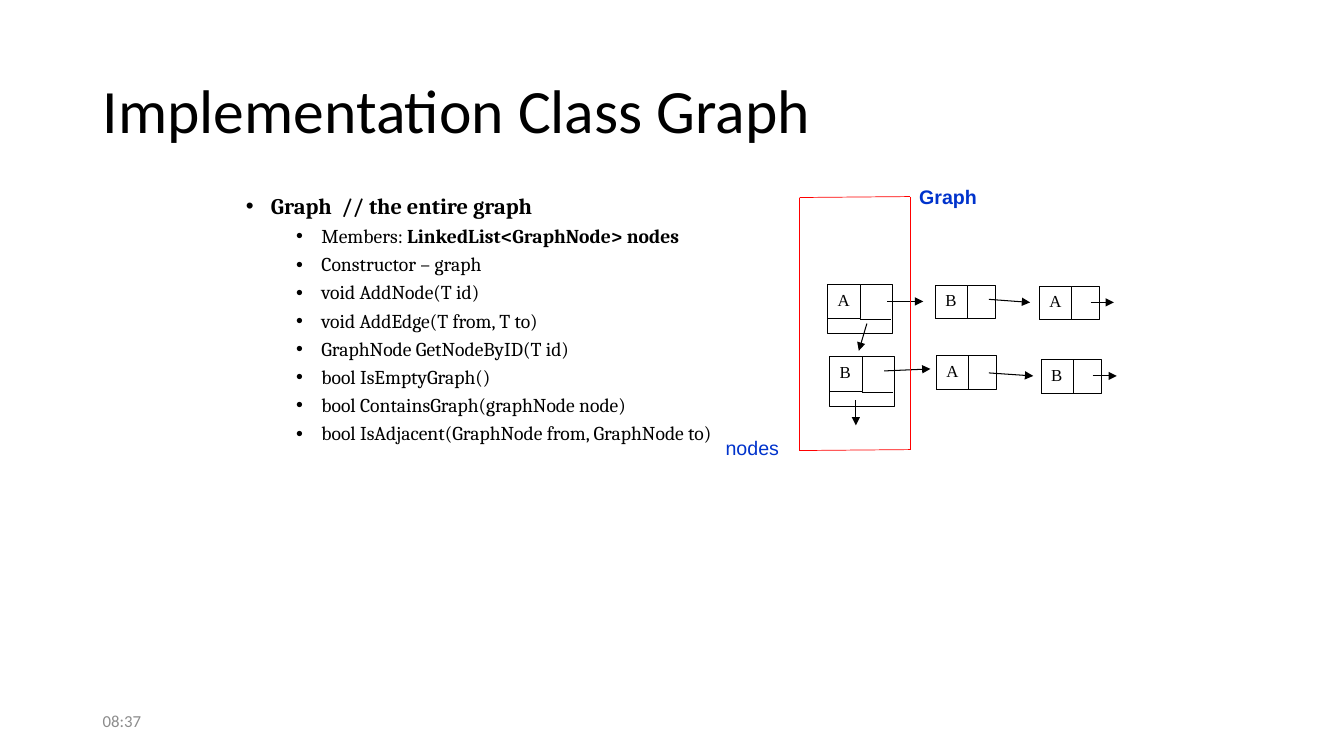
import lxml.etree
import pptx
import pptx.dml.color
import pptx.enum.shapes
import pptx.enum.text
import pptx.oxml.ns
import pptx.util

WIDTH = pptx.util.Inches(13.33)
HEIGHT = pptx.util.Inches(7.5)
BLACK = pptx.dml.color.RGBColor(0x00, 0x00, 0x00)
WHITE = pptx.dml.color.RGBColor(0xFF, 0xFF, 0xFF)
RED = pptx.dml.color.RGBColor(0xFF, 0x00, 0x00)
BLUE = pptx.dml.color.RGBColor(0x00, 0x33, 0xCC)
GRAY = pptx.dml.color.RGBColor(0x8C, 0x8C, 0x8C)

MEMBERS = [
    [("Members: ", False), ("LinkedList<GraphNode> nodes", True)],
    [("Constructor – graph", False)],
    [("void AddNode(T id)", False)],
    [("void AddEdge(T from, T to)", False)],
    [("GraphNode GetNodeByID(T id)", False)],
    [("bool IsEmptyGraph()", False)],
    [("bool ContainsGraph(graphNode node)", False)],
    [("bool IsAdjacent(GraphNode from, GraphNode to)", False)],
]
EDGE_CELLS = [
    ("B", 69.6, 37.73),
    ("A", 77.33, 37.87),
    ("A", 69.68, 47.07),
    ("B", 77.48, 47.6),
]
GRAPH_NODES = [("B", 61.73, 47.2), ("A", 61.58, 37.6)]
ARROWS = [
    ((66, 39.87), (68.7, 39.87)),
    ((73.58, 39.6), (76.65, 40)),
    ((81.15, 40), (82.88, 40)),
    ((65.78, 49.07), (69.23, 48.8)),
    ((73.58, 49.33), (76.88, 49.73)),
    ((81.3, 49.73), (83.1, 49.73)),
    ((64.5, 42.8), (63.9, 46.4)),
    ((63.68, 52.93), (63.68, 56.27)),
]
FRAME_CORNERS = [(59.5, 26.13), (67.7, 26), (67.7, 59.47), (59.5, 59.6)]


def across(percent):
    """Return a share of the slide's width."""
    return round(WIDTH * percent / 100)


def down(percent):
    """Return a share of the slide's height."""
    return round(HEIGHT * percent / 100)


def area(left, top, width, height):
    """Return a rectangle given in percent of the slide."""
    return across(left), down(top), across(width), down(height)


def set_font(paragraph, name, size, color, bold=None):
    """Format all the text of a paragraph."""
    font = paragraph.font
    font.name = name
    font.size = pptx.util.Pt(size)
    font.color.rgb = color
    font.bold = bold


def add_title(slide, text):
    """Place and format the title placeholder."""
    title = slide.shapes.title
    title.left, title.top, title.width, title.height = area(6.9, 5.33, 86.25, 19.33)
    title.text_frame.text = text
    title.text_frame.vertical_anchor = pptx.enum.text.MSO_ANCHOR.MIDDLE
    paragraph = title.text_frame.paragraphs[0]
    paragraph.alignment = pptx.enum.text.PP_ALIGN.LEFT
    paragraph.line_spacing = 0.9
    set_font(paragraph, "Calibri", 44, BLACK)


def add_label(slide, text, box, name, size, color, bold=None, wrap=False):
    """Add a single line of text, centred vertically."""
    frame = slide.shapes.add_textbox(*area(*box)).text_frame
    frame.word_wrap = wrap
    frame.vertical_anchor = pptx.enum.text.MSO_ANCHOR.MIDDLE
    frame.text = text
    set_font(frame.paragraphs[0], name, size, color, bold)


def format_bullet(paragraph, level, size):
    """Give a paragraph its bullet, indent, spacing and font."""
    paragraph.level = level
    paragraph.alignment = pptx.enum.text.PP_ALIGN.JUSTIFY
    paragraph.line_spacing = 0.9
    if level:
        paragraph.space_before = pptx.util.Pt(5)
    properties = paragraph._p.get_or_add_pPr()
    properties.set("marL", str(pptx.util.Inches(0.25 + 0.5 * level)))
    properties.set("indent", str(-pptx.util.Inches(0.25)))
    for tag, key, value in (("a:buFont", "typeface", "Arial"), ("a:buChar", "char", "•")):
        element = lxml.etree.SubElement(properties, pptx.oxml.ns.qn(tag))
        element.set(key, value)
    set_font(paragraph, "Cambria", size, BLACK)


def add_class_outline(slide):
    """Add the class name and the list of its members."""
    frame = slide.shapes.add_textbox(*area(17.55, 25.2, 67.5, 69.8)).text_frame
    frame.word_wrap = True
    heading = frame.paragraphs[0]
    heading.text = "Graph  // the entire graph"
    format_bullet(heading, 0, 16)
    heading.font.bold = True
    for member in MEMBERS:
        paragraph = frame.add_paragraph()
        format_bullet(paragraph, 1, 14)
        for text, bold in member:
            run = paragraph.add_run()
            run.text = text
            run.font.bold = bold


def add_cell(slide, box, text=""):
    """Add a white cell with a black outline."""
    cell = slide.shapes.add_shape(pptx.enum.shapes.MSO_SHAPE.RECTANGLE, *area(*box))
    cell.shadow.inherit = False
    cell.fill.solid()
    cell.fill.fore_color.rgb = WHITE
    cell.line.color.rgb = BLACK
    cell.line.width = pptx.util.Pt(0.75)
    if text:
        frame = cell.text_frame
        frame.margin_right = 0
        frame.vertical_anchor = pptx.enum.text.MSO_ANCHOR.TOP
        frame.text = text
        paragraph = frame.paragraphs[0]
        paragraph.alignment = pptx.enum.text.PP_ALIGN.LEFT
        set_font(paragraph, "Times New Roman", 12, BLACK)


def add_line(slide, start, end, color=BLACK, weight=0.75, arrow=False):
    """Add a straight line, with an arrowhead at its end if asked."""
    connector = slide.shapes.add_connector(
        pptx.enum.shapes.MSO_CONNECTOR.STRAIGHT,
        across(start[0]), down(start[1]), across(end[0]), down(end[1]),
    )
    connector.line.color.rgb = color
    connector.line.width = pptx.util.Pt(weight)
    properties = connector.element.spPr
    if arrow:
        outline = properties.find(pptx.oxml.ns.qn("a:ln"))
        head = lxml.etree.SubElement(outline, pptx.oxml.ns.qn("a:tailEnd"))
        head.set("type", "triangle")
    lxml.etree.SubElement(properties, pptx.oxml.ns.qn("a:effectLst"))


def add_edge_cell(slide, name, left, top):
    """Add a neighbour with its name and its link field."""
    add_cell(slide, (left, top, 4.5, 4.4))
    add_cell(slide, (left, top, 2.4, 4.4), name)


def add_graph_node(slide, name, left, top):
    """Add a node with its name, its edge list and its link field."""
    add_cell(slide, (left, top, 4.8, 6.53))
    add_cell(slide, (left, top, 2.48, 4.53), name)
    add_line(slide, (left + 2.4, top + 4.67), (left + 4.73, top + 4.67))


def main():
    """Build the slide and save it."""
    presentation = pptx.Presentation()
    presentation.slide_width = WIDTH
    presentation.slide_height = HEIGHT
    slide = presentation.slides.add_slide(presentation.slide_layouts.get_by_name("Title Only"))
    add_title(slide, "Implementation Class Graph")
    add_class_outline(slide)
    for cell in EDGE_CELLS:
        add_edge_cell(slide, *cell)
    for node in GRAPH_NODES:
        add_graph_node(slide, *node)
    for start, end in ARROWS:
        add_line(slide, start, end, arrow=True)
    for start, end in zip(FRAME_CORNERS, FRAME_CORNERS[1:] + FRAME_CORNERS[:1]):
        add_line(slide, start, end, RED, 0.5)
    add_label(slide, "nodes", (53.25, 56.93, 5.48, 4.53), "Arial", 14, BLUE)
    add_label(slide, "Graph", (67.65, 23.73, 5.85, 4.53), "Arial", 14, BLUE, bold=True)
    add_label(slide, "08:37", (6.9, 92.67, 22.5, 5.33), "Calibri", 12, GRAY, wrap=True)
    presentation.save("out.pptx")


if __name__ == "__main__":
    main()
